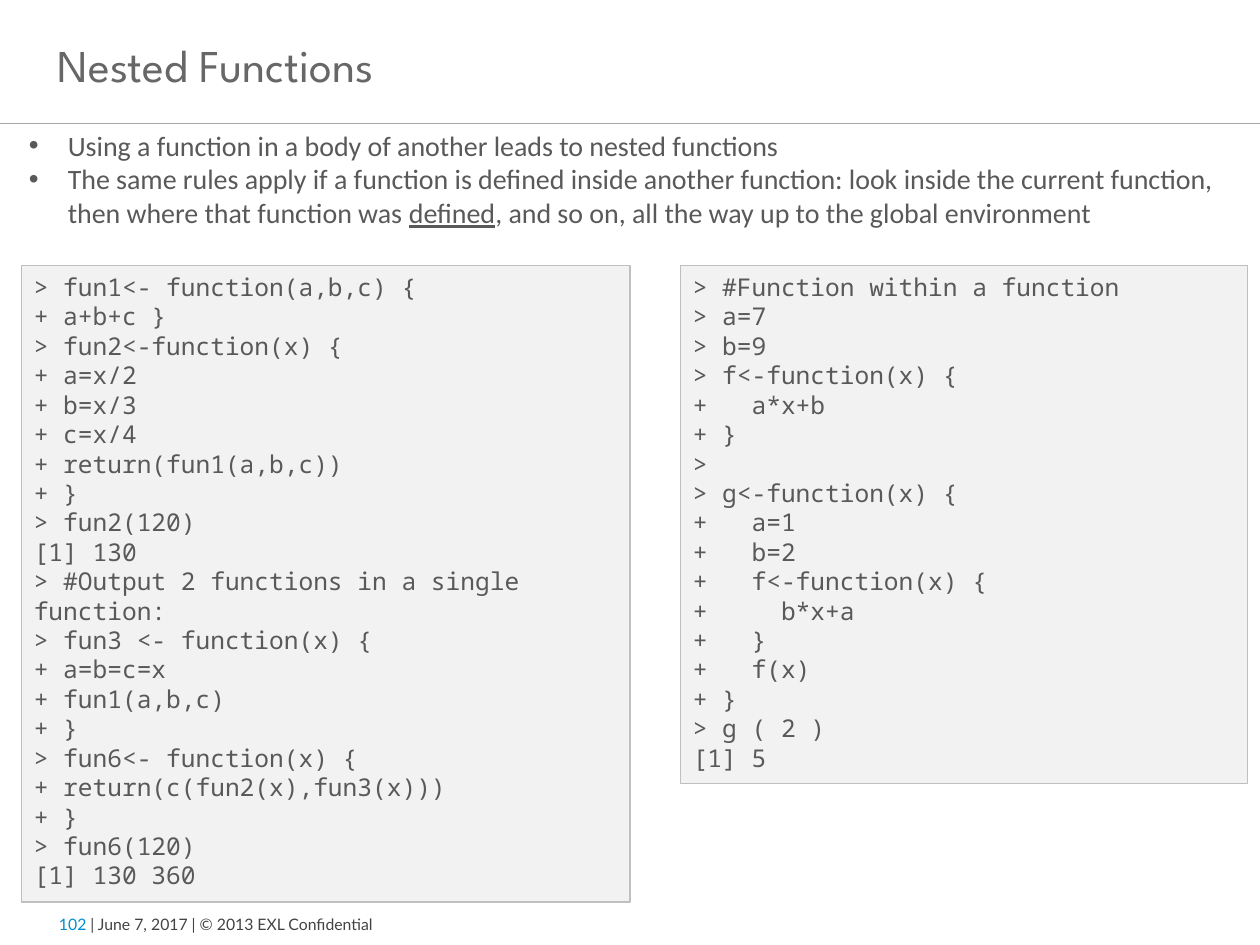
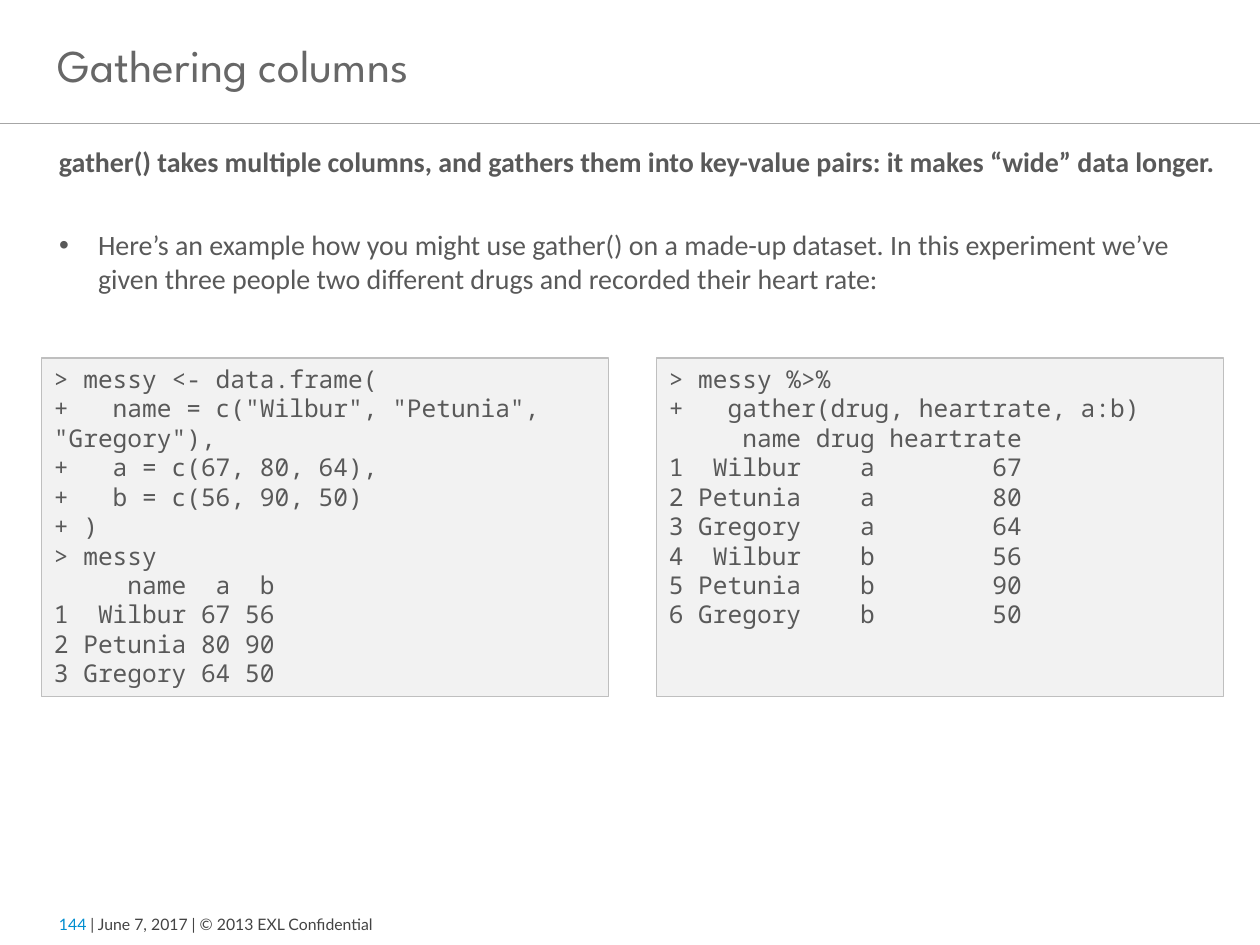
from dataclasses import dataclass

from lxml import etree
from pptx import Presentation
from pptx.dml.color import RGBColor
from pptx.enum import shapes, text
from pptx.oxml import ns
from pptx.util import Inches, Pt


@dataclass(frozen=True)
class Theme:
    title_font: str = "League Spartan"
    body_font: str = "Calibri"
    code_font: str = "Noto Sans Mono"
    footer_font: str = "Lato"
    title_size: float = 26
    title_leading: float = 28
    body_size: float = 16
    code_size: float = 14
    code_leading: float = 16.8
    footer_size: float = 9
    title_color: str = "676767"
    body_color: str = "595959"
    footer_color: str = "434343"
    accent: str = "008ED0"
    rule: str = "A6A6A6"
    code_fill: str = "F2F2F2"
    code_border: str = "BFBFBF"
    bullet_indent: float = 0.31


THEME = Theme()
BODY = dict(font=THEME.body_font, size=THEME.body_size, color=THEME.body_color)
CODE = dict(font=THEME.code_font, size=THEME.code_size, color=THEME.code_color
            if hasattr(THEME, "code_color") else THEME.body_color)


def add_bullet(paragraph):
    properties = paragraph._p.get_or_add_pPr()
    indent = Inches(THEME.bullet_indent)
    properties.set("marL", str(indent))
    properties.set("indent", str(-indent))
    etree.SubElement(properties, ns.qn("a:buFont")).set("typeface", "Arial")
    etree.SubElement(properties, ns.qn("a:buChar")).set("char", "•")


def write_text(shape, paragraphs, *, font, size, color, bold=False, bullet=False,
               leading=None, anchor=text.MSO_ANCHOR.TOP):
    """Each paragraph is a string or a list of (string, run format) pairs."""
    frame = shape.text_frame
    frame.word_wrap = True
    frame.auto_size = text.MSO_AUTO_SIZE.NONE
    frame.vertical_anchor = anchor
    for index, content in enumerate(paragraphs):
        paragraph = frame.add_paragraph() if index else frame.paragraphs[0]
        if bullet:
            add_bullet(paragraph)
        paragraph.alignment = text.PP_ALIGN.LEFT
        if leading:
            paragraph.line_spacing = Pt(leading)
        runs = [(content, {})] if isinstance(content, str) else content
        for words, style in runs:
            run = paragraph.add_run()
            run.text = words
            run.font.name = font
            run.font.size = Pt(size)
            run.font.bold = bold
            run.font.underline = style.get("underline", False)
            run.font.color.rgb = RGBColor.from_string(style.get("color", color))


def add_text(slide, box, paragraphs, **style):
    shape = slide.shapes.add_textbox(*map(Inches, box))
    write_text(shape, paragraphs, **style)


def add_code(slide, box, code):
    shape = slide.shapes.add_shape(shapes.MSO_SHAPE.RECTANGLE, *map(Inches, box))
    shape.shadow.inherit = False
    shape.fill.solid()
    shape.fill.fore_color.rgb = RGBColor.from_string(THEME.code_fill)
    shape.line.color.rgb = RGBColor.from_string(THEME.code_border)
    shape.line.width = Pt(0.75)
    write_text(shape, code.strip("\n").split("\n"), leading=THEME.code_leading, **CODE)


def add_rule(slide, top, width):
    line = slide.shapes.add_connector(
        shapes.MSO_CONNECTOR.STRAIGHT, 0, Inches(top), Inches(width), Inches(top))
    line.line.color.rgb = RGBColor.from_string(THEME.rule)
    line.line.width = Pt(0.5)
    etree.SubElement(line._element.spPr, ns.qn("a:effectLst"))


def add_base_slide(presentation, title, number):
    """Add a slide with its title, header rule and footer."""
    slide = presentation.slides.add_slide(presentation.slide_layouts[5])
    add_rule(slide, 0.98, 10)
    footer = [(f"{number} ", {"color": THEME.accent}),
              ("| June 7, 2017 | © 2013 EXL Confidential", {})]
    add_text(slide, (0.37, 7.19, 3.8, 0.29), [footer], font=THEME.footer_font,
             size=THEME.footer_size, color=THEME.footer_color,
             anchor=text.MSO_ANCHOR.MIDDLE)
    heading = slide.shapes.title
    heading.left, heading.top, heading.width, heading.height = map(
        Inches, (0.36, 0.04, 9.49, 0.98))
    write_text(heading, [title], font=THEME.title_font, size=THEME.title_size,
               color=THEME.title_color, leading=THEME.title_leading,
               anchor=text.MSO_ANCHOR.MIDDLE)
    return slide


NESTED_CALLS = """
> fun1<- function(a,b,c) {
+ a+b+c }
> fun2<-function(x) {
+ a=x/2
+ b=x/3
+ c=x/4
+ return(fun1(a,b,c))
+ }
> fun2(120)
[1] 130
> #Output 2 functions in a single function:
> fun3 <- function(x) {
+ a=b=c=x
+ fun1(a,b,c)
+ }
> fun6<- function(x) {
+ return(c(fun2(x),fun3(x)))
+ }
> fun6(120)
[1] 130 360
"""

INNER_FUNCTION = """
> #Function within a function
> a=7
> b=9
> f<-function(x) {
+   a*x+b
+ }
>
> g<-function(x) {
+   a=1
+   b=2
+   f<-function(x) {
+     b*x+a
+   }
+   f(x)
+ }
> g ( 2 )
[1] 5
"""

MESSY_DATA = """
> messy <- data.frame(
+   name = c("Wilbur", "Petunia", "Gregory"),
+   a = c(67, 80, 64),
+   b = c(56, 90, 50)
+ )
> messy
     name  a  b
1  Wilbur 67 56
2 Petunia 80 90
3 Gregory 64 50
"""

GATHERED_DATA = """
> messy %>%
+   gather(drug, heartrate, a:b)
     name drug heartrate
1  Wilbur    a        67
2 Petunia    a        80
3 Gregory    a        64
4  Wilbur    b        56
5 Petunia    b        90
6 Gregory    b        50
"""


def add_nested_functions(presentation):
    slide = add_base_slide(presentation, "Nested Functions", 102)
    rules = [
        "Using a function in a body of another leads to nested functions",
        [("The same rules apply if a function is defined inside another function: "
          "look inside the current function, then where that function was ", {}),
         ("defined", {"underline": True}),
         (", and so on, all the way up to the global environment", {})],
    ]
    add_text(slide, (0.13, 0.97, 9.69, 0.91), rules, bullet=True, **BODY)
    add_code(slide, (0.17, 2.11, 4.83, 5.05), NESTED_CALLS)
    add_code(slide, (5.4, 2.11, 4.5, 4.11), INNER_FUNCTION)


def add_gathering_columns(presentation):
    slide = add_base_slide(presentation, "Gathering columns", 144)
    add_text(slide, (0.37, 1.1, 9.4, 0.64),
             ["gather() takes multiple columns, and gathers them into key-value pairs: "
              "it makes “wide” data longer."], bold=True, **BODY)
    add_text(slide, (0.37, 1.76, 9.25, 0.64),
             ["Here’s an example how you might use gather() on a made-up dataset. "
              "In this experiment we’ve given three people two different drugs and "
              "recorded their heart rate:"], bullet=True, **BODY)
    # Input and result side by side
    for column, code in enumerate((MESSY_DATA, GATHERED_DATA)):
        add_code(slide, (0.33 + column * 4.88, 2.84, 4.5, 2.69), code)


def main():
    presentation = Presentation()
    presentation.slide_width = Inches(10)
    presentation.slide_height = Inches(7.5)
    add_nested_functions(presentation)
    add_gathering_columns(presentation)
    presentation.save("out.pptx")


if __name__ == "__main__":
    main()
